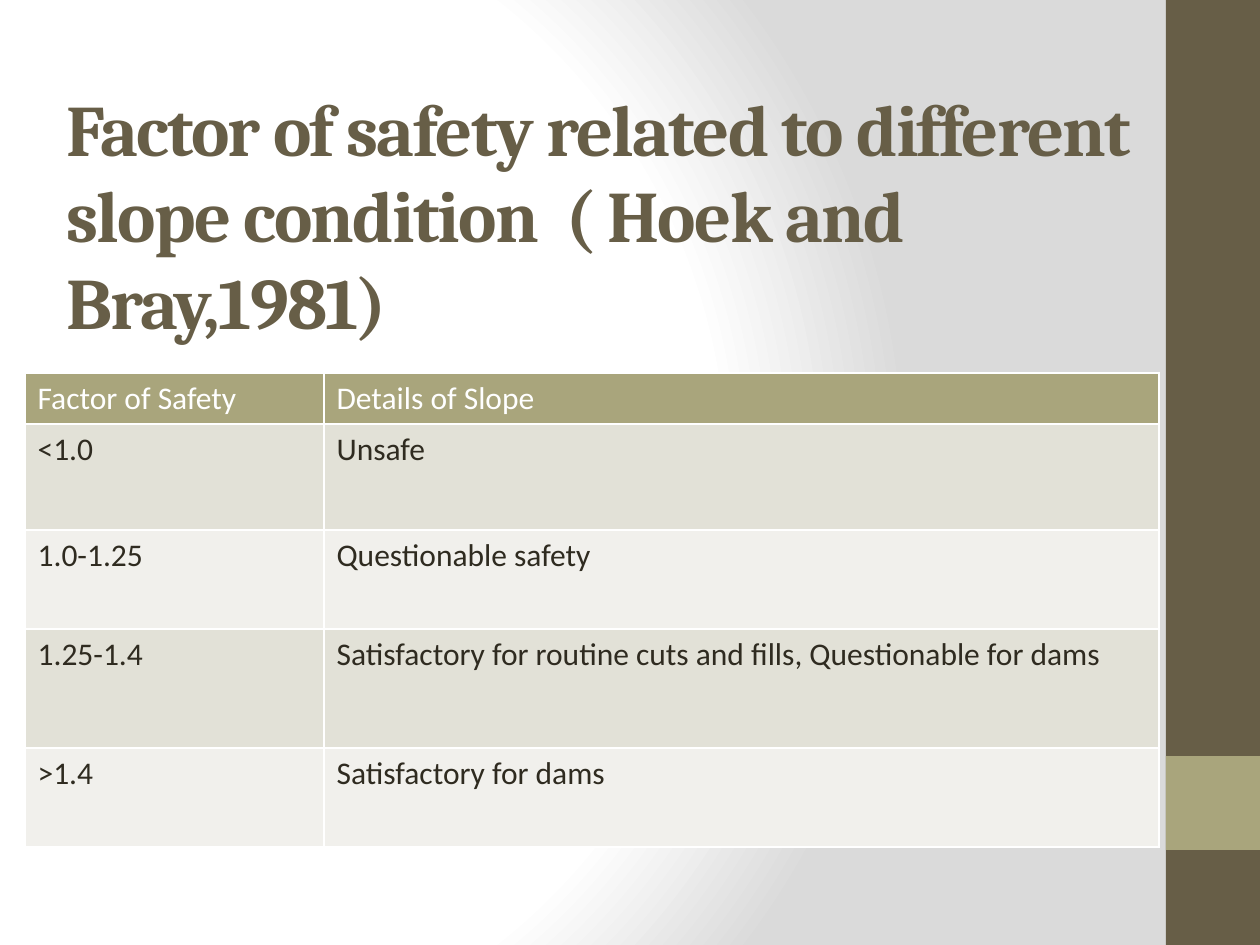
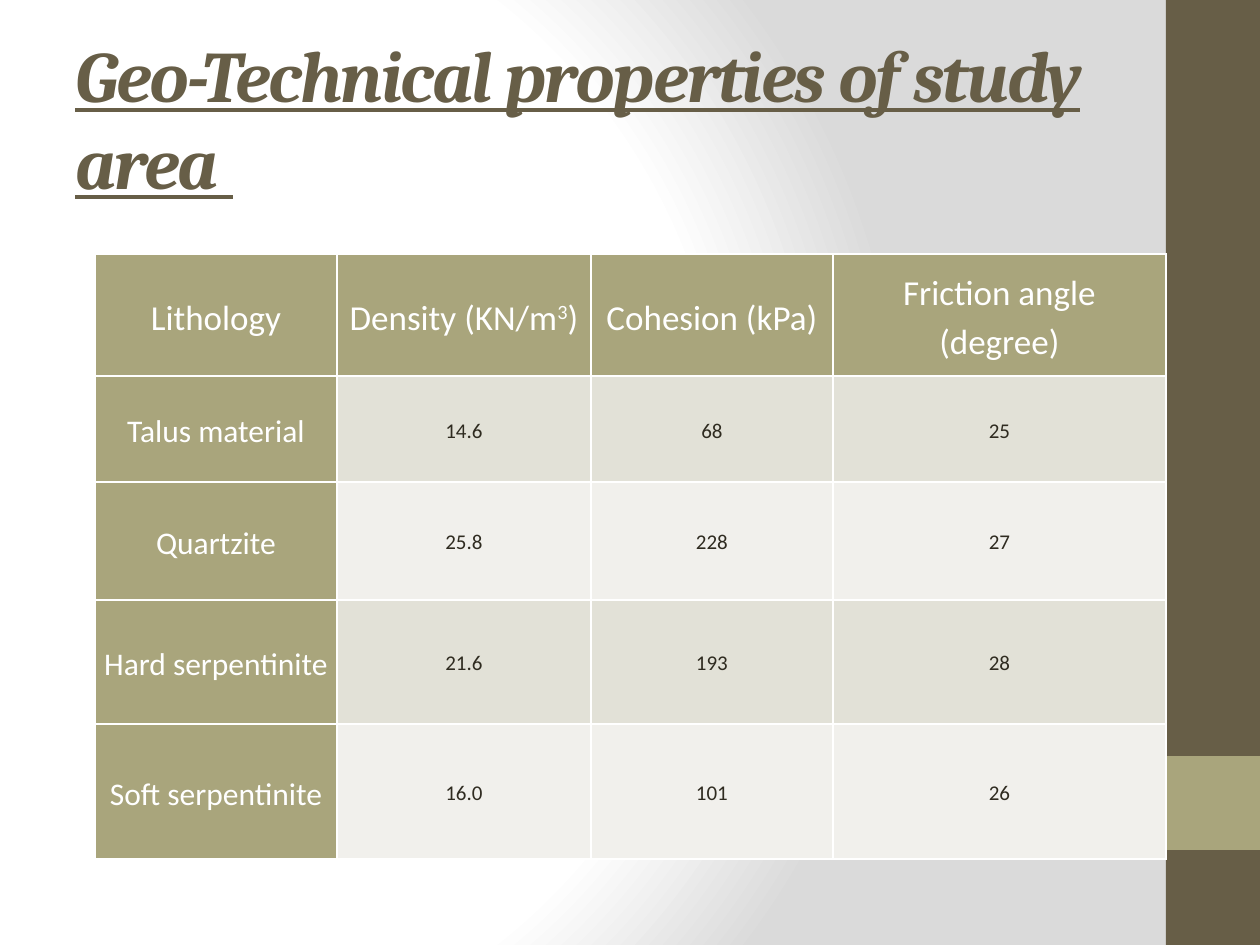
import pptx
import pptx.dml.color
import pptx.enum.shapes
import pptx.enum.text
import pptx.oxml
import pptx.oxml.ns
import pptx.util

SCALE = 914400 / 126
WIDE, HIGH = 1260, 945
HUES = {"dark": "675E47", "sand": "A9A57C", "ink": "2F2B20", "white": "FFFFFF",
        "grey": "DADADA", "odd": "E2E1D7", "even": "F1F0EC"}
SPACE = pptx.oxml.ns.nsdecls("a")
ALIGN = pptx.enum.text.PP_ALIGN
ANCHOR = pptx.enum.text.MSO_ANCHOR

SAFETY = [
    ["Factor of Safety", "Details of Slope"],
    ["<1.0", "Unsafe"],
    ["1.0-1.25", "Questionable safety"],
    ["1.25-1.4", "Satisfactory for routine cuts and fills, Questionable for dams"],
    [">1.4", "Satisfactory for dams"],
]
ROCKS = [
    ["Lithology", "Density (KN/m^3^)", "Cohesion (kPa)", "Friction angle (degree)"],
    ["Talus material", "14.6", "68", "25"],
    ["Quartzite", "25.8", "228", "27"],
    ["Hard serpentinite", "21.6", "193", "28"],
    ["Soft serpentinite", "16.0", "101", "26"],
]


def px(count):
    """Turn pixels into EMU."""
    return pptx.util.Emu(round(count * SCALE))


def hue(name):
    """Look up a colour by name."""
    return pptx.dml.color.RGBColor.from_string(HUES[name])


def add_run(para, text, face, size, tint, bold=False):
    """Add one styled run to a paragraph."""
    run = para.add_run()
    run.text = text
    run.font.name = face
    run.font.size = pptx.util.Pt(size)
    run.font.bold = bold
    run.font.color.rgb = hue(tint)
    return run


def add_ground(slide):
    """Fill the slide with the round white to grey fade."""
    fill = slide.background.fill
    fill.gradient()
    stops = "".join(
        f'<a:gs pos="{place * 1000}"><a:srgbClr val="{HUES[name]}"/></a:gs>'
        for place, name in [(0, "white"), (75, "white"), (100, "grey")])
    fade = pptx.oxml.parse_xml(
        f'<a:gradFill {SPACE} rotWithShape="1"><a:gsLst>{stops}</a:gsLst>'
        '<a:path path="circle"><a:fillToRect l="20000" t="50000" r="100000" b="50000"/>'
        '</a:path></a:gradFill>')
    old = slide.element.find(".//" + pptx.oxml.ns.qn("a:gradFill"))
    old.getparent().replace(old, fade)


def add_band(slide, top, high, tint):
    """Add a plain block to the right edge."""
    left = 1166
    band = slide.shapes.add_shape(pptx.enum.shapes.MSO_SHAPE.RECTANGLE,
                                  px(left), px(top), px(WIDE - left), px(high))
    band.shadow.inherit = False
    band.fill.solid()
    band.fill.fore_color.rgb = hue(tint)
    band.line.fill.background()


def add_title(slide, text, left, top, wide, fancy=False):
    """Add the title, slanted and underlined if fancy."""
    box = slide.shapes.add_textbox(px(left), px(top), px(wide), px(158))
    frame = box.text_frame
    frame.word_wrap = True
    frame.vertical_anchor = ANCHOR.MIDDLE
    run = add_run(frame.paragraphs[0], text, "Cambria", 41.4, "dark", bold=True)
    run.font.italic = run.font.underline = fancy
    run.font._element.set("spc", "-100")


def add_edges(cell):
    """Draw thin white lines on all four sides of a cell."""
    props = cell._tc.get_or_add_tcPr()
    for side in "LRTB":
        props.append(pptx.oxml.parse_xml(
            f'<a:ln{side} {SPACE} w="12700"><a:solidFill><a:srgbClr val="{HUES["white"]}"/>'
            f'</a:solidFill></a:ln{side}>'))


def fill_cell(cell, text, size, tint, back, mid):
    """Style a cell and write its text, raising parts between carets."""
    add_edges(cell)
    cell.fill.solid()
    cell.fill.fore_color.rgb = hue(back)
    para = cell.text_frame.paragraphs[0]
    if mid:
        cell.vertical_anchor = ANCHOR.MIDDLE
        cell.margin_left = cell.margin_right = px(9)
        cell.margin_top = cell.margin_bottom = 0
        para.alignment = ALIGN.CENTER
        para.line_spacing = 1.15
        para.space_after = pptx.util.Pt(10)
    for spot, part in enumerate(text.split("^")):
        run = add_run(para, part, "Calibri", size, tint)
        if spot % 2:
            run.font._element.set("baseline", "30000")


def add_grid(slide, rows, left, top, wides, highs, sizes, side=False):
    """Add a table; sizes are for head, side and body text."""
    table = slide.shapes.add_table(len(rows), len(wides), px(left), px(top),
                                   px(sum(wides)), px(sum(highs))).table
    for col, wide in zip(table.columns, wides):
        col.width = px(wide)
    for line, high in zip(table.rows, highs):
        line.height = px(high)
    for r, row in enumerate(rows):
        for c, text in enumerate(row):
            head = r == 0 or (side and c == 0)
            size = sizes[0] if r == 0 else sizes[1] if c == 0 else sizes[2]
            back = "sand" if head else "odd" if r % 2 else "even"
            fill_cell(table.cell(r, c), text, size, "white" if head else "ink", back, side)


def add_slide(deck):
    """Add a blank slide with the shared ground and bands."""
    slide = deck.slides.add_slide(deck.slide_layouts[6])
    add_ground(slide)
    add_band(slide, 0, HIGH, "dark")
    add_band(slide, 756, 94, "sand")
    return slide


def main():
    """Build and save the deck."""
    deck = pptx.Presentation()
    deck.slide_width, deck.slide_height = px(WIDE), px(HIGH)

    slide = add_slide(deck)
    add_title(slide, "Factor of safety related to different slope condition  ( Hoek and Bray,1981)",
              54, 135, 1134)
    add_grid(slide, SAFETY, 25, 373, [299, 835], [51, 106, 99, 119, 99], [18, 18, 18])

    slide = add_slide(deck)
    add_title(slide, "Geo-Technical properties of study area ", 63, 38, 1050, fancy=True)
    add_grid(slide, ROCKS, 95, 254, [242, 254, 242, 333], [122, 106, 118, 124, 135],
             [20, 18, 12], side=True)

    deck.save("out.pptx")


if __name__ == "__main__":
    main()
